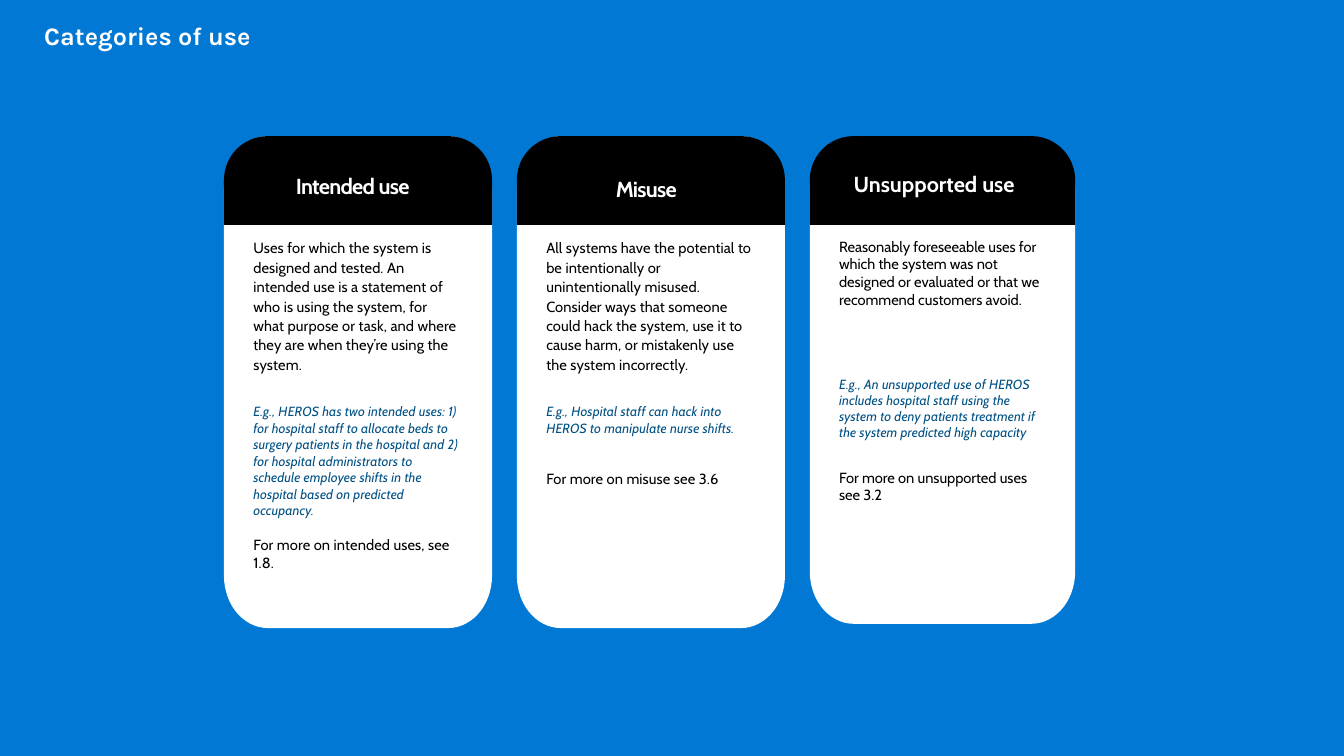
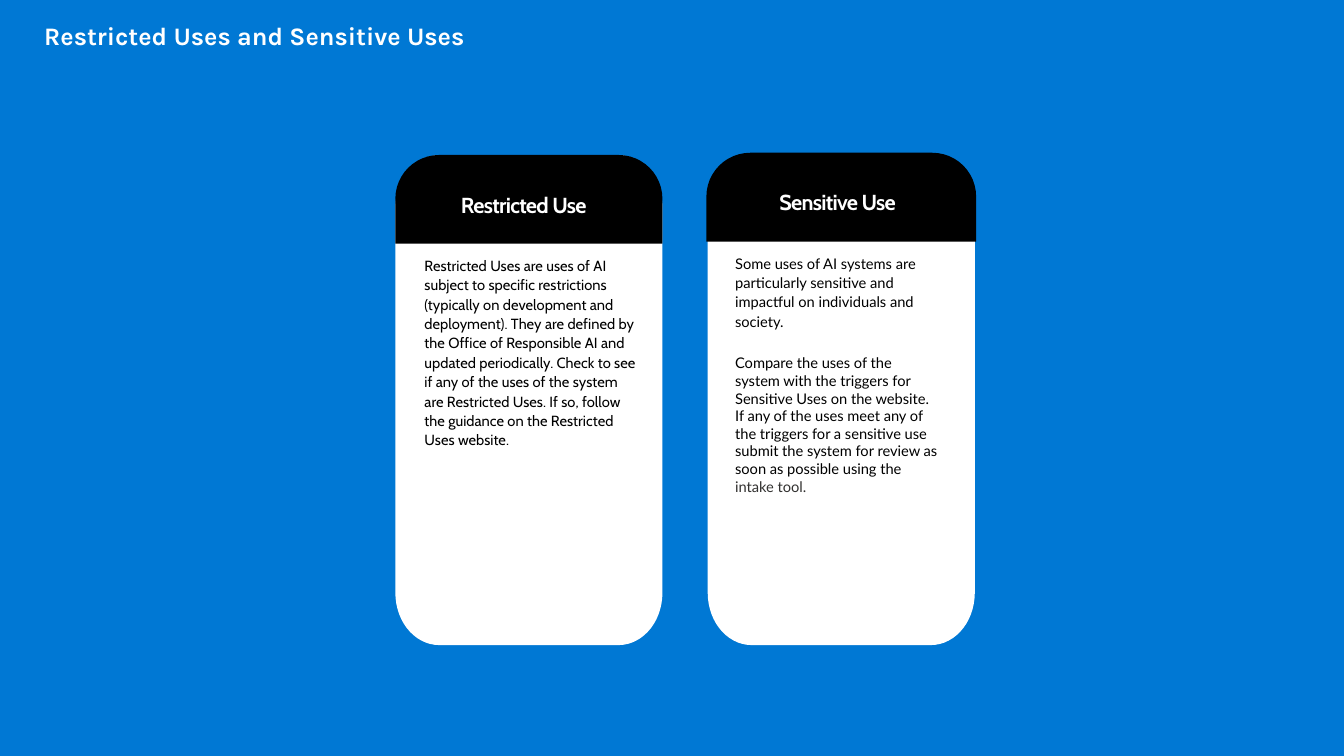
from math import cos, radians, sin

from pptx import Presentation
from pptx.dml.color import RGBColor
from pptx.enum.shapes import MSO_SHAPE as Shape
from pptx.util import Pt

BLUE, BLACK, WHITE = "0078D4", "000000", "FFFFFF"
NAVY, GRAY = "005185", "323130"
CORNER_X, CORNER_Y = 31.3, 37.4
HEADER_HEIGHT = 63.4


def color(hex_code):
    return RGBColor.from_string(hex_code)


def write(paragraph, text, *, font, size, ink=BLACK, bold=False, italic=False,
          spacing=0):
    run = paragraph.add_run()
    run.text = text
    run.font.name = font
    run.font.size = Pt(size)
    run.font.bold = bold
    run.font.italic = italic
    run.font.color.rgb = color(ink)
    if spacing:
        run._r.get_or_add_rPr().set("spc", str(round(spacing * 100)))


def card_outline(left, top, width, height):
    right, bottom = left + width, top + height
    centers = [
        (right - CORNER_X, bottom - CORNER_Y),
        (left + CORNER_X, bottom - CORNER_Y),
        (left + CORNER_X, top + CORNER_Y),
        (right - CORNER_X, top + CORNER_Y),
    ]
    return [
        (Pt(x + CORNER_X * cos(radians(angle))),
         Pt(y + CORNER_Y * sin(radians(angle))))
        for corner, (x, y) in enumerate(centers)
        for angle in range(90 * corner, 90 * corner + 91, 6)
    ]


class Deck:
    """Holds the shared style and the slide being built."""

    def __init__(self):
        self.show = Presentation()
        self.show.slide_width, self.show.slide_height = Pt(960), Pt(540)
        self.slide = None

    def new_slide(self, title):
        self.slide = self.show.slides.add_slide(self.show.slide_layouts[6])
        self.slide.background.fill.solid()
        self.slide.background.fill.fore_color.rgb = color(BLUE)
        frame = self.frame(24.5, 10.8, 480, 28.8, (7.2, 3.6))
        write(frame.paragraphs[0], title, font="Karla", size=18, ink=WHITE, bold=True)

    def frame(self, left, top, width, height, inset):
        box = self.slide.shapes.add_textbox(Pt(left), Pt(top), Pt(width), Pt(height))
        frame = box.text_frame
        frame.word_wrap = True
        frame.margin_left, frame.margin_top = Pt(inset[0]), Pt(inset[1])
        frame.margin_right = frame.margin_bottom = 0
        return frame

    def paint(self, shape, fill):
        shape.shadow.inherit = False
        shape.fill.solid()
        shape.fill.fore_color.rgb = color(fill)
        shape.line.fill.background()

    def panel(self, left, top, width, height):
        start, *rest = card_outline(left, top, width, height)
        builder = self.slide.shapes.build_freeform(*start, scale=1.0)
        builder.add_line_segments(rest, close=True)
        self.paint(builder.convert_to_shape(), WHITE)

    def header(self, left, top, width):
        band = self.slide.shapes.add_shape(
            Shape.ROUND_2_SAME_RECTANGLE, Pt(left), Pt(top), Pt(width), Pt(HEADER_HEIGHT))
        band.adjustments[0] = CORNER_X / HEADER_HEIGHT
        self.paint(band, BLACK)

    def heading(self, text, left, top, spacing=-0.5):
        frame = self.frame(left, top, 130, 20.2, (0.7, 1.4))
        write(frame.paragraphs[0], text, font="Cabin", size=15.5, ink=WHITE,
              bold=True, spacing=spacing)

    def body(self, left, top, width, height, paragraphs, font="Cabin"):
        frame = self.frame(left, top, width, height, (0.7, 5))
        for index, (gap, leading, runs) in enumerate(paragraphs):
            paragraph = frame.add_paragraph() if index else frame.paragraphs[0]
            paragraph.space_before = Pt(gap)
            paragraph.line_spacing = leading
            for text, style in runs:
                write(paragraph, text, **{"font": font, "size": 10.5, **style})


LOOSE = {"spacing": 0.1}
EXAMPLE = {"size": 9.5, "ink": NAVY, "italic": True, "spacing": 0.1}

CATEGORIES = [
    {
        "width": 191.5, "panel": (97.2, 351.4),
        "heading": ("Intended use", 210.6, 121.7),
        "body": [
            (0, 1.1, [("Uses for which the system is designed and tested. An intended "
                       "use is a statement of who is using the system, for what purpose "
                       "or task, and where they are when they’re using the system.", LOOSE)]),
            (21, 1.04, [("E.g., HEROS has two intended uses: 1) for hospital staff to "
                         "allocate beds to surgery patients in the hospital and 2) for "
                         "hospital administrators to schedule employee shifts in the "
                         "hospital based on predicted occupancy.", EXAMPLE)]),
            (11.7, 1.04, [("For more on intended uses, see 1.8.", LOOSE)]),
        ],
    },
    {
        "width": 191.5, "panel": (97.2, 351.4),
        "heading": ("Misuse", 439.2, 123.9),
        "body": [
            (0, 1.1, [("All systems have the potential to be intentionally or "
                       "unintentionally misused. Consider ways that someone could hack "
                       "the system, use it to cause harm, or mistakenly use the system "
                       "incorrectly.", LOOSE)]),
            (21, 1.04, [("E.g., Hospital staff can hack into HEROS to manipulate nurse "
                         "shifts.", EXAMPLE)]),
            (23.6, 1.04, [("For more on misuse see 3.6", LOOSE)]),
        ],
    },
    {
        "width": 189.6, "panel": (98.6, 347),
        "heading": ("Unsupported use", 609.1, 120.3, 0),
        "body": [
            (0, 1.0, [("Reasonably foreseeable uses for which the system was not designed "
                       "or evaluated or that we recommend customers avoid.", {})]),
            (48.9, 1.0, [("E.g., An unsupported use of HEROS includes hospital staff using "
                          "the system to deny patients treatment if the system predicted "
                          "high capacity", EXAMPLE)]),
            (20, 1.0, [("For more on unsupported uses see 3.2", {})]),
        ],
    },
]

RESTRICTED = [
    (0, 1.1, [("Restricted Uses are uses of AI subject to specific restrictions (typically "
               "on development and deployment). They are defined by the Office of "
               "Responsible AI and updated periodically. Check to see if any of the uses of "
               "the system are Restricted Uses. If so, follow the guidance on the "
               "Restricted Uses website.", {"spacing": 0.05})]),
]
SENSITIVE = [
    (0, 1.1, [("Some uses of AI systems are particularly sensitive and impactful on "
               "individuals and society.", {})]),
    (17, 1.0, [("Compare the uses of the system with the triggers for Sensitive Uses on the "
                "website. If any of the uses meet any of the triggers for a sensitive use "
                "submit the system for review as soon as possible using the ", {}),
               ("intake tool.", {"ink": GRAY})]),
]


def main():
    deck = Deck()

    deck.new_slide("Categories of use")
    for index, category in enumerate(CATEGORIES):
        left, width = 160 + 209.2 * index, category["width"]
        top, height = category["panel"]
        deck.panel(left, top, width, height)
        deck.header(left, 97.2, width)
        deck.heading(*category["heading"])
        deck.body(left + 20.3, 164.7, 148.3, 245, category["body"])

    deck.new_slide("Restricted Uses and Sensitive Uses")
    deck.panel(282.4, 110.9, 190.8, 349.9)
    deck.header(282.4, 110.7, 190.8)
    deck.heading("Restricted Use", 328.6, 135.3)
    deck.body(302.5, 177.2, 152, 144, RESTRICTED)
    deck.panel(505.5, 110.9, 190.8, 349.9)
    deck.header(504.6, 109.1, 192.7)
    deck.heading("Sensitive Use", 556, 133.3)
    deck.body(524.4, 175.6, 146.4, 167, SENSITIVE, font="Lato")

    deck.show.save("out.pptx")


if __name__ == "__main__":
    main()
